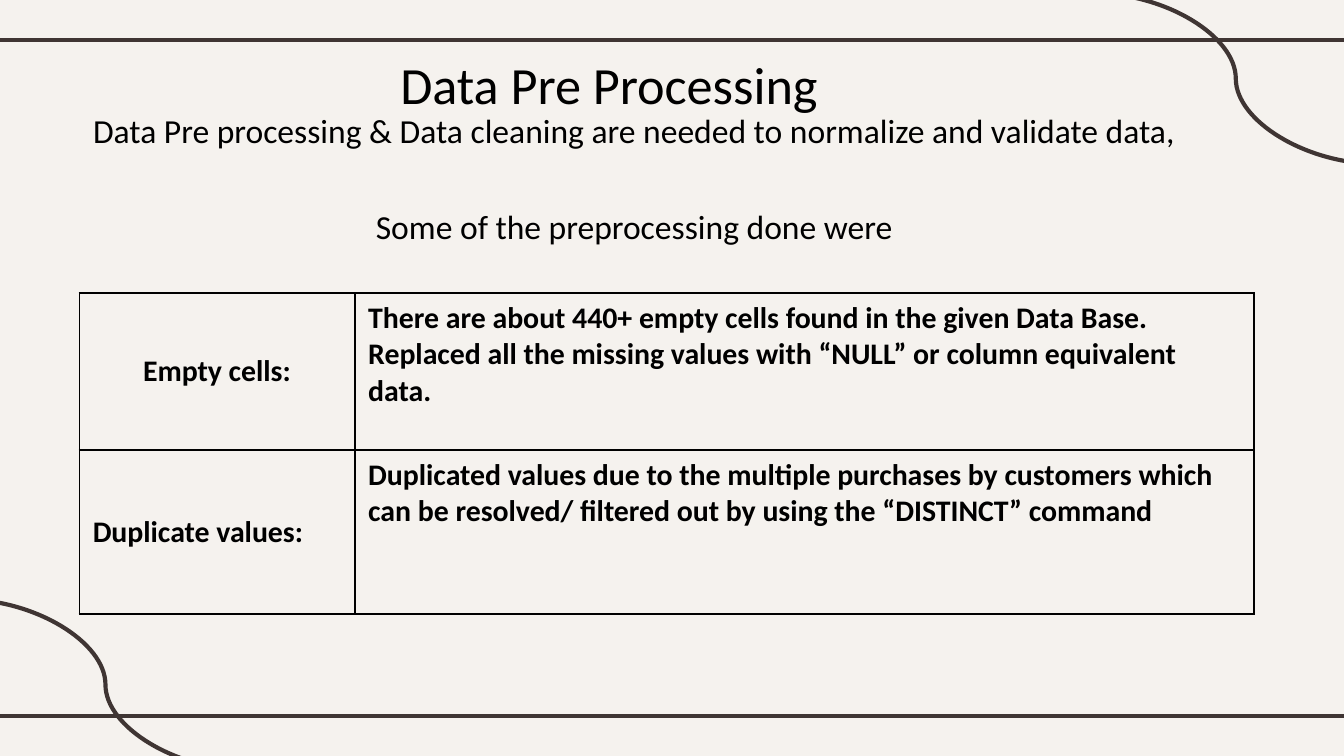
from lxml.etree import SubElement
from pptx import Presentation
from pptx.dml.color import RGBColor
from pptx.enum.shapes import MSO_CONNECTOR as Link
from pptx.enum.text import MSO_ANCHOR as Anchor, PP_ALIGN as Align
from pptx.oxml.ns import qn
from pptx.util import Inches, Pt

PAPER = RGBColor(0xF5, 0xF2, 0xEE)
BROWN = RGBColor(0x3F, 0x35, 0x33)
BLACK = RGBColor(0, 0, 0)

TITLE = ["Data Pre Processing"]
INTRO = [
    "Data Pre processing & Data cleaning are needed to normalize and validate data,",
    "Some of the preprocessing done were",
]
ROWS = [
    (["Empty cells:"], Align.CENTER, 1.17, [
        "There are about 440+ empty cells found in the given Data Base.",
        "Replaced all the missing values with “NULL” or column equivalent data.",
    ]),
    (["Duplicate values:"], Align.LEFT, 1.22, [
        "Duplicated values due to the multiple purchases by customers which can be "
        "resolved/ filtered out by using the “DISTINCT” command",
    ]),
]
COLS = [2.05, 6.69]
RULES = [0.3, 5.33]
CURVES = [(-0.27, 4.46), (8.14, -0.05)]
CURVE_W, CURVE_H = 2.11, 1.27

deck = Presentation()
deck.slide_width = Inches(10)
deck.slide_height = Inches(10 * 9 / 16)
slide = deck.slides.add_slide(deck.slide_layouts[6])
slide.background.fill.solid()
slide.background.fill.fore_color.rgb = PAPER


def draw_line(kind, *ends):
    line = slide.shapes.add_connector(kind, *map(Inches, ends))
    line.line.color.rgb = BROWN
    line.line.width = Pt(2.25)
    SubElement(line._element.spPr, qn("a:effectLst"))


def write(frame, lines, size, align, bold=False, gap=0, pitch=None):
    for i, line in enumerate(lines):
        par = frame.add_paragraph() if i else frame.paragraphs[0]
        par.text = line
        par.alignment = align
        par.line_spacing = pitch
        if i and gap:
            par.space_before = Pt(gap)
        font = par.font
        font.name, font.size, font.bold = "Calibri", Pt(size), bold
        font.color.rgb = BLACK


def add_text(box, lines, size, align, anchor, inset, **style):
    frame = slide.shapes.add_textbox(*map(Inches, box)).text_frame
    frame.word_wrap = True
    frame.vertical_anchor = anchor
    frame.margin_top = frame.margin_bottom = Inches(inset)
    write(frame, lines, size, align, **style)


def fill_cell(cell, lines, align, anchor):
    props = cell._tc.get_or_add_tcPr()
    for side in "LRTB":
        edge = SubElement(props, qn(f"a:ln{side}"), w=str(Pt(1)))
        paint = SubElement(edge, qn("a:solidFill"))
        SubElement(paint, qn("a:srgbClr"), val=str(BLACK))
    cell.fill.solid()
    cell.fill.fore_color.rgb = PAPER
    cell.vertical_anchor = anchor
    write(cell.text_frame, lines, 16, align, bold=True)


for y in RULES:
    draw_line(Link.STRAIGHT, -0.08, y, 10.08, y)
for x, y in CURVES:
    draw_line(Link.CURVE, x, y, x + CURVE_W, y + CURVE_H)

add_text((2.88, 0.29, 3.68, 0.58), TITLE, 28, Align.LEFT, Anchor.TOP, 0.1)
add_text((0.25, 0.69, 8.94, 1.31), INTRO, 18, Align.CENTER, Anchor.MIDDLE, 0.05,
         gap=32, pitch=0.9)

high = sum(row[2] for row in ROWS)
grid = slide.shapes.add_table(len(ROWS), len(COLS), Inches(0.59), Inches(2.18),
                              Inches(sum(COLS)), Inches(high)).table
for col, width in zip(grid.columns, COLS):
    col.width = Inches(width)
for row, (label, align, height, notes) in zip(grid.rows, ROWS):
    row.height = Inches(height)
    fill_cell(row.cells[0], label, align, Anchor.MIDDLE)
    fill_cell(row.cells[1], notes, Align.LEFT, Anchor.TOP)

deck.save("out.pptx")
